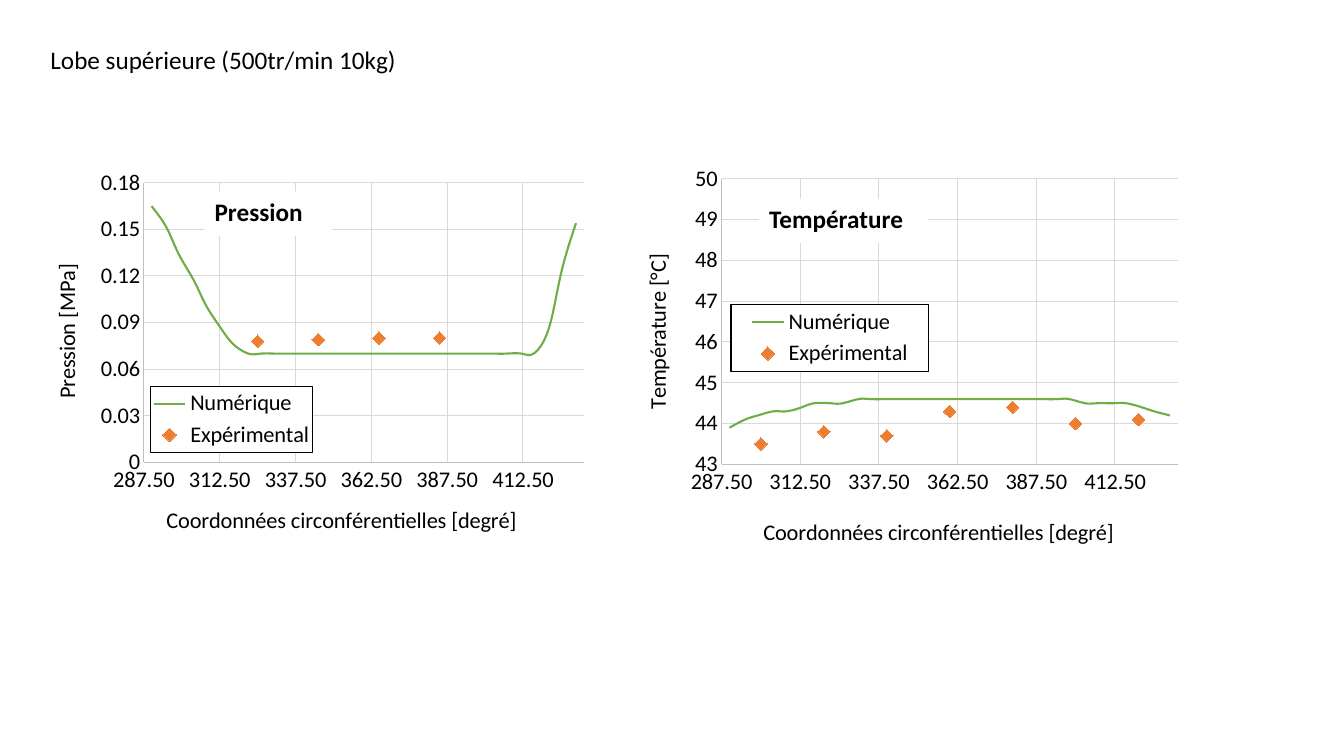
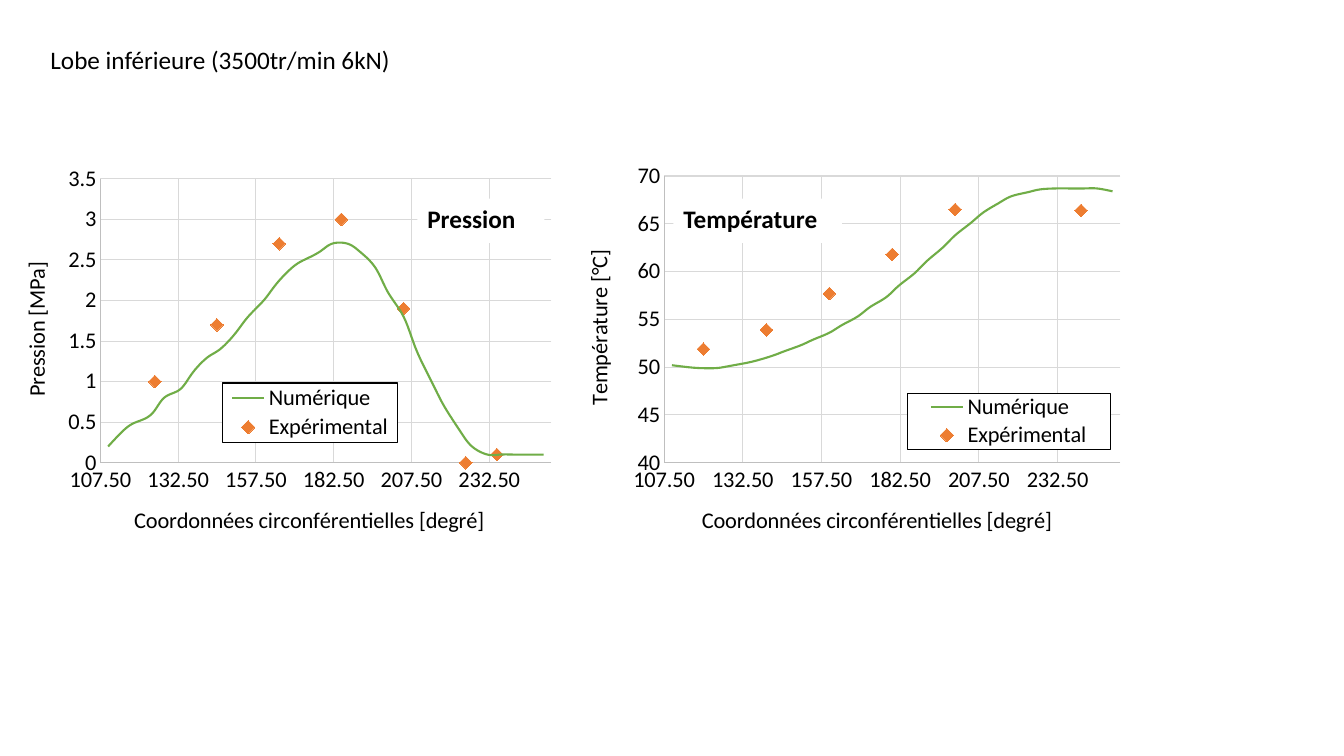
from lxml.etree import SubElement
from pptx import Presentation
from pptx.chart.data import XyChartData
from pptx.dml.color import RGBColor
from pptx.enum.chart import (XL_CHART_TYPE as ChartType, XL_LEGEND_POSITION as LegendPosition,
                             XL_MARKER_STYLE as MarkerStyle, XL_TICK_MARK as TickMark)
from pptx.enum.shapes import MSO_SHAPE as Shape
from pptx.enum.text import MSO_ANCHOR as Anchor, MSO_AUTO_SIZE as AutoSize, PP_ALIGN as Align
from pptx.oxml import parse_xml
from pptx.oxml.ns import nsdecls, qn
from pptx.util import Inches, Pt

COLORS = {"text": "000000", "paper": "FFFFFF", "grid": "D9D9D9", "axis": "BFBFBF",
          "numeric": "70AD47", "measured": "ED7D31"}
FONT = "Calibri"
CHART_TOP, CHART_WIDTH, CHART_HEIGHT = 1.55, 5.91, 3.94
X_TITLE = "Coordonnées circonférentielles [degré]"
STEPS = 31  # intervals of the computed curve, over a 140 degree lobe


def rgb(name):
    return RGBColor.from_string(COLORS[name])


def style_font(font, size, bold=False):
    font.name, font.size, font.bold = FONT, Pt(size), bold
    font.color.rgb = rgb("text")


def write(frame, text, size=18, bold=False, wrap=True):
    frame.word_wrap, frame.auto_size = wrap, AutoSize.NONE
    frame.vertical_anchor = Anchor.TOP
    para = frame.paragraphs[0]
    para.alignment = Align.LEFT
    span = para.add_run()
    span.text = text
    style_font(span.font, size, bold)


def style_line(line, color, width=0.75):
    line.color.rgb, line.width = rgb(color), Pt(width)


def set_layout(parent, index, inner=False, **edges):
    """Fix a chart part at fractions of the chart: x, y and, if given, w, h."""
    for old in parent.findall(qn("c:layout")):
        parent.remove(old)
    layout = parse_xml(f"<c:layout {nsdecls('c')}><c:manualLayout/></c:layout>")
    manual = layout[0]
    if inner:
        SubElement(manual, qn("c:layoutTarget")).set("val", "inner")
    for key in "xy":
        SubElement(manual, qn(f"c:{key}Mode")).set("val", "edge")
    for key, value in edges.items():
        SubElement(manual, qn(f"c:{key}")).set("val", f"{value:.4f}")
    parent.insert(index, layout)


def set_smooth(series):
    for old in series._element.findall(qn("c:smooth")):
        series._element.remove(old)
    SubElement(series._element, qn("c:smooth")).set("val", "1")


def style_axis(axis, title, title_at, low, high, step, number_format, turned=False):
    axis.minimum_scale, axis.maximum_scale, axis.major_unit = low, high, step
    axis.major_tick_mark = axis.minor_tick_mark = TickMark.NONE
    axis.has_major_gridlines = True
    style_line(axis.major_gridlines.format.line, "grid")
    style_line(axis.format.line, "axis")
    style_font(axis.tick_labels.font, 16)
    axis.tick_labels.number_format = number_format
    axis.tick_labels.number_format_is_linked = False
    frame = axis.axis_title.text_frame
    span = frame.paragraphs[0].add_run()
    span.text = title
    style_font(span.font, 16)
    element = axis.axis_title._element
    if turned:
        body = element.find(".//" + qn("a:bodyPr"))
        body.set("rot", "-5400000")
        body.set("vert", "horz")
    set_layout(element, 1, x=title_at[0] / CHART_WIDTH, y=title_at[1] / CHART_HEIGHT)


def add_legend(chart, left, top, width, height):
    chart.has_legend = True
    legend = chart.legend
    legend.position = LegendPosition.TOP
    legend.include_in_layout = False
    style_font(legend.font, 16)
    element = legend._element
    set_layout(element, 1, x=left / CHART_WIDTH, y=top / CHART_HEIGHT,
               w=width / CHART_WIDTH, h=height / CHART_HEIGHT)
    element.find(qn("c:overlay")).addnext(parse_xml(
        f"<c:spPr {nsdecls('c', 'a')}><a:solidFill><a:srgbClr val='{COLORS['paper']}'/></a:solidFill>"
        f"<a:ln w='9525'><a:solidFill><a:srgbClr val='{COLORS['text']}'/></a:solidFill></a:ln></c:spPr>"))


def add_chart(page, left, start, panel):
    data = XyChartData()
    numeric = data.add_series("Numérique")
    for i, value in enumerate(panel["numeric"]):
        numeric.add_data_point(round(start + 140 * i / STEPS), value)
    measured = data.add_series("Expérimental")
    for angle, value in panel["measured"]:
        measured.add_data_point(angle, value)
    chart = page.shapes.add_chart(
        ChartType.XY_SCATTER_SMOOTH_NO_MARKERS, Inches(left), Inches(CHART_TOP),
        Inches(CHART_WIDTH), Inches(CHART_HEIGHT), data).chart
    chart.has_title = False
    style_font(chart.font, 16)
    chart._chartSpace.find(qn("c:chart")).addnext(parse_xml(
        f"<c:spPr {nsdecls('c', 'a')}><a:noFill/><a:ln><a:noFill/></a:ln></c:spPr>"))
    plot = chart.plots[0]
    plot.vary_by_categories = False

    # Curve and measured points
    curve, points = plot.series
    style_line(curve.format.line, "numeric", 1.5)
    points.format.line.fill.background()
    points.marker.style, points.marker.size = MarkerStyle.DIAMOND, 9
    points.marker.format.fill.solid()
    points.marker.format.fill.fore_color.rgb = rgb("measured")
    style_line(points.marker.format.line, "measured")
    for series in (curve, points):
        set_smooth(series)

    # Axes, plot area and legend
    style_axis(chart.category_axis, X_TITLE, panel["x_title_at"],
               start - 2.5, start + 142.5, 25, "0.00")
    style_axis(chart.value_axis, panel["y_title"], panel["y_title_at"],
               *panel["scale"], "General", turned=True)
    area = chart._chartSpace.find(".//" + qn("c:plotArea"))
    set_layout(area, 0, inner=True, **dict(zip("xywh", panel["plot"])))
    add_legend(chart, *panel["legend"])


def add_label(page, text, left, top, width, height=0.44):
    box = page.shapes.add_shape(Shape.RECTANGLE, Inches(left), Inches(top),
                                Inches(width), Inches(height))
    box.shadow.inherit = False
    box.fill.solid()
    box.fill.fore_color.rgb = rgb("paper")
    box.line.fill.background()
    write(box.text_frame, text, bold=True)


def add_panel(page, start, panel):
    """One chart with its label, placed relative to the chart's corner."""
    left = panel["left"]
    add_chart(page, left, start, panel)
    x, y, width = panel["label_at"]
    add_label(page, panel["label"], left + x, CHART_TOP + y, width)


def add_lobe_page(deck, title, start, panels):
    page = deck.slides.add_slide(deck.slide_layouts[5])
    box = page.shapes.title
    box.left, box.top, box.width, box.height = (Inches(v) for v in (0.4, 0.39, 3.67, 0.4))
    write(box.text_frame, title, wrap=False)
    for panel in panels:
        add_panel(page, start, panel)


PRESSURE = {"label": "Pression", "y_title": "Pression [MPa]"}
TEMPERATURE = {"label": "Température", "y_title": "Température [°C]"}

UPPER_PANELS = [
    PRESSURE | {
        "left": 0.34, "label_at": (1.69, 0.35, 1.26), "scale": (0, 0.18, 0.03),
        "plot": (0.184, 0.067, 0.738, 0.704), "legend": (1.15, 2.28, 1.61, 0.66),
        "x_title_at": (1.27, 3.42), "y_title_at": (0.13, 1.03),
        "numeric": [0.165, 0.151, 0.134, 0.117, 0.101, 0.086, 0.076]
                   + [0.07] * 22 + [0.086, 0.121, 0.154],
        "measured": [(325, 0.078), (345, 0.079), (365, 0.08), (385, 0.08)]},
    TEMPERATURE | {
        "left": 6.24, "label_at": (1.29, 0.42, 1.67), "scale": (43, 50, 1),
        "plot": (0.155, 0.057, 0.766, 0.722), "legend": (1.01, 1.48, 1.96, 0.66),
        "x_title_at": (1.29, 3.55), "y_title_at": (0.09, 0.94),
        "numeric": [43.9, 44.1, 44.2, 44.3, 44.3, 44.4, 44.5, 44.5, 44.5]
                   + [44.6] * 16 + [44.5] * 4 + [44.4, 44.3, 44.2],
        "measured": [(300, 43.5), (320, 43.8), (340, 43.7), (360, 44.3),
                     (380, 44.4), (400, 44), (420, 44.1)]},
]

LOWER_PANELS = [
    TEMPERATURE | {
        "left": 5.67, "label_at": (1.01, 0.42, 1.67), "scale": (40, 70, 5),
        "plot": (0.155, 0.05, 0.766, 0.722), "legend": (3.33, 2.35, 2.01, 0.56),
        "x_title_at": (1.25, 3.42), "y_title_at": (0.08, 0.89),
        "numeric": [50.2, 50, 49.9, 49.9, 50.1, 50.4, 50.7, 51.2, 51.7, 52.3, 52.9,
                    53.6, 54.4, 55.3, 56.3, 57.3, 58.5, 59.8, 61.1, 62.5, 63.8, 65.1,
                    66.2, 67.2, 67.9, 68.3, 68.6, 68.7, 68.7, 68.7, 68.7, 68.4],
        "measured": [(120, 51.9), (140, 53.9), (160, 57.7), (180, 61.8),
                     (200, 66.5), (240, 66.4)]},
    PRESSURE | {
        "left": 0.02, "label_at": (4.12, 0.42, 1.26), "scale": (0, 3.5, 0.5),
        "plot": (0.165, 0.057, 0.757, 0.715), "legend": (2.19, 2.25, 1.73, 0.59),
        "x_title_at": (1.27, 3.42), "y_title_at": (0.15, 1.01),
        "numeric": [0.2, 0.4, 0.5, 0.6, 0.8, 0.9, 1.1, 1.3, 1.4, 1.6, 1.8, 2, 2.2, 2.4,
                    2.5, 2.6, 2.7, 2.7, 2.6, 2.4, 2.1, 1.8, 1.4, 1, 0.7, 0.4, 0.2]
                   + [0.1] * 5,
        "measured": [(125, 1), (145, 1.7), (165, 2.7), (185, 3),
                     (205, 1.9), (225, 0), (235, 0.1)]},
]


def main():
    deck = Presentation()
    deck.slide_width, deck.slide_height = Inches(13.33), Inches(7.5)
    add_lobe_page(deck, "Lobe supérieure (500tr/min 10kg)", 290, UPPER_PANELS)
    add_lobe_page(deck, "Lobe inférieure (3500tr/min 6kN)", 110, LOWER_PANELS)
    deck.save("out.pptx")


if __name__ == "__main__":
    main()
